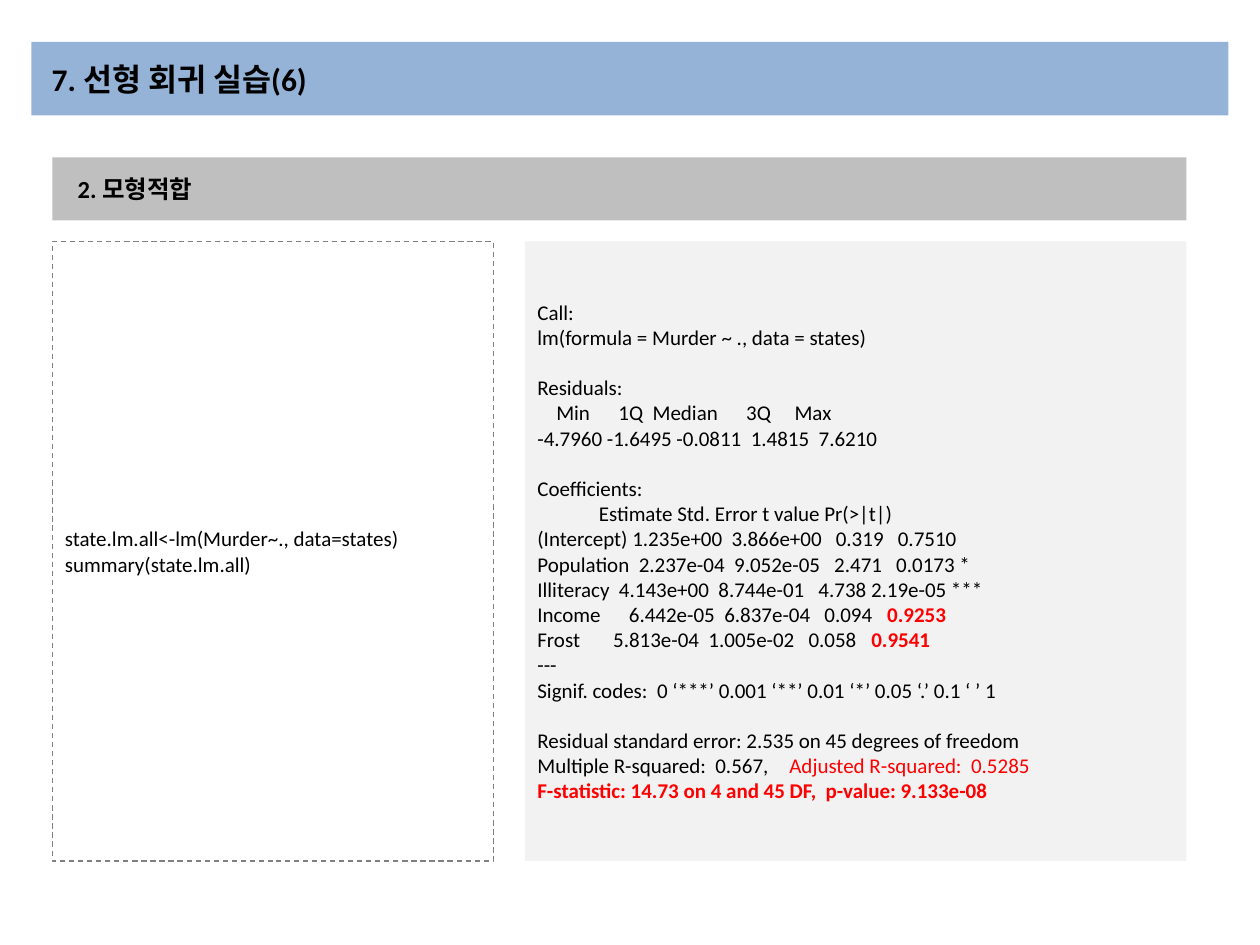
from dataclasses import dataclass

from pptx import Presentation
from pptx.dml.color import RGBColor
from pptx.enum.dml import MSO_LINE
from pptx.enum.shapes import MSO_SHAPE
from pptx.enum.text import MSO_ANCHOR, PP_ALIGN
from pptx.util import Inches, Pt


@dataclass(frozen=True)
class Theme:
    font: str = "Calibri"
    text: str = "000000"
    accent: str = "FF0000"
    title_fill: str = "95B3D7"
    section_fill: str = "BFBFBF"
    output_fill: str = "F2F2F2"
    border: str = "808080"
    title_size: int = 18
    section_size: int = 14
    body_size: int = 12
    line_height: float = 14.4


THEME = Theme()
COLUMNS, ROWS = 120, 90  # grid cells of one twelfth of an inch


def rgb(value):
    return RGBColor.from_string(value)


def add_span(para, text, size=THEME.body_size, bold=False, color=THEME.text):
    span = para.add_run()
    span.text = text
    span.font.name = THEME.font
    span.font.size = Pt(size)
    span.font.bold = bold
    span.font.color.rgb = rgb(color)


class PageBuilder:
    def __init__(self, deck, theme):
        self.theme = theme
        self.page = deck.slides.add_slide(deck.slide_layouts[6])
        self.column = deck.slide_width / COLUMNS
        self.row = deck.slide_height / ROWS

    def panel(self, left, top, width, height, fill=None, border=None, inset=0.1):
        box = self.page.shapes.add_shape(
            MSO_SHAPE.RECTANGLE,
            round(left * self.column), round(top * self.row),
            round(width * self.column), round(height * self.row))
        box.shadow.inherit = False
        if fill:
            box.fill.solid()
            box.fill.fore_color.rgb = rgb(fill)
        else:
            box.fill.background()
        if border:
            box.line.color.rgb = rgb(border)
            box.line.width = Pt(0.75)
            box.line.dash_style = MSO_LINE.DASH
        else:
            box.line.fill.background()
        frame = box.text_frame
        frame.word_wrap = True
        frame.vertical_anchor = MSO_ANCHOR.MIDDLE
        frame.margin_left = Inches(inset)
        return frame

    def heading(self, text, size, *place, **look):
        para = self.panel(*place, **look).paragraphs[0]
        para.alignment = PP_ALIGN.LEFT
        add_span(para, text, size=size, bold=True)

    def code(self, blocks, *place, **look):
        """Each block is a list of lines; each line is a list of (text, format)."""
        frame = self.panel(*place, **look)
        para = frame.paragraphs[0]
        for block_index, block in enumerate(blocks):
            for line_index, line in enumerate(block):
                if block_index or line_index:
                    para = frame.add_paragraph()
                para.alignment = PP_ALIGN.LEFT
                if block_index and not line_index:
                    para.space_before = Pt(self.theme.line_height)
                for text, style in line:
                    add_span(para, text, **style)


def plain(*lines):
    return [[(line, {})] for line in lines]


RED = {"color": THEME.accent}
RED_BOLD = {"color": THEME.accent, "bold": True}

COMMANDS = [plain("state.lm.all<-lm(Murder~., data=states)", "summary(state.lm.all)")]

OUTPUT = [
    plain("Call:", "lm(formula = Murder ~ ., data = states)"),
    plain("Residuals:",
          "    Min      1Q  Median      3Q     Max",
          "-4.7960 -1.6495 -0.0811  1.4815  7.6210"),
    plain("Coefficients:",
          "             Estimate Std. Error t value Pr(>|t|)",
          "(Intercept) 1.235e+00  3.866e+00   0.319   0.7510",
          "Population  2.237e-04  9.052e-05   2.471   0.0173 *",
          "Illiteracy  4.143e+00  8.744e-01   4.738 2.19e-05 ***")
    + [[("Income      6.442e-05  6.837e-04   0.094   ", {}), ("0.9253", RED_BOLD)],
       [("Frost       5.813e-04  1.005e-02   0.058   ", {}), ("0.9541", RED_BOLD)]]
    + plain("---", "Signif. codes:  0 ‘***’ 0.001 ‘**’ 0.01 ‘*’ 0.05 ‘.’ 0.1 ‘ ’ 1"),
    plain("Residual standard error: 2.535 on 45 degrees of freedom")
    + [[("Multiple R-squared:  0.567,\t", {}), ("Adjusted R-squared:  0.5285", RED)],
       [("F-statistic: 14.73 on 4 and 45 DF,  p-value: 9.133e-08", RED_BOLD)]],
]


def main():
    deck = Presentation()
    deck.slide_width, deck.slide_height = Inches(10), Inches(7.5)
    builder = PageBuilder(deck, THEME)

    # Title and section bars
    builder.heading("7. 선형 회귀 실습(6)", THEME.title_size, 3, 4, 114, 7,
                    fill=THEME.title_fill, inset=0.16)
    builder.heading("2. 모형적합", THEME.section_size, 5, 15, 108, 6,
                    fill=THEME.section_fill, inset=0.2)

    # Commands on the left, their output on the right
    builder.code(COMMANDS, 5, 23, 42, 59, border=THEME.border)
    builder.code(OUTPUT, 50, 23, 63, 59, fill=THEME.output_fill)

    deck.save("out.pptx")


if __name__ == "__main__":
    main()
